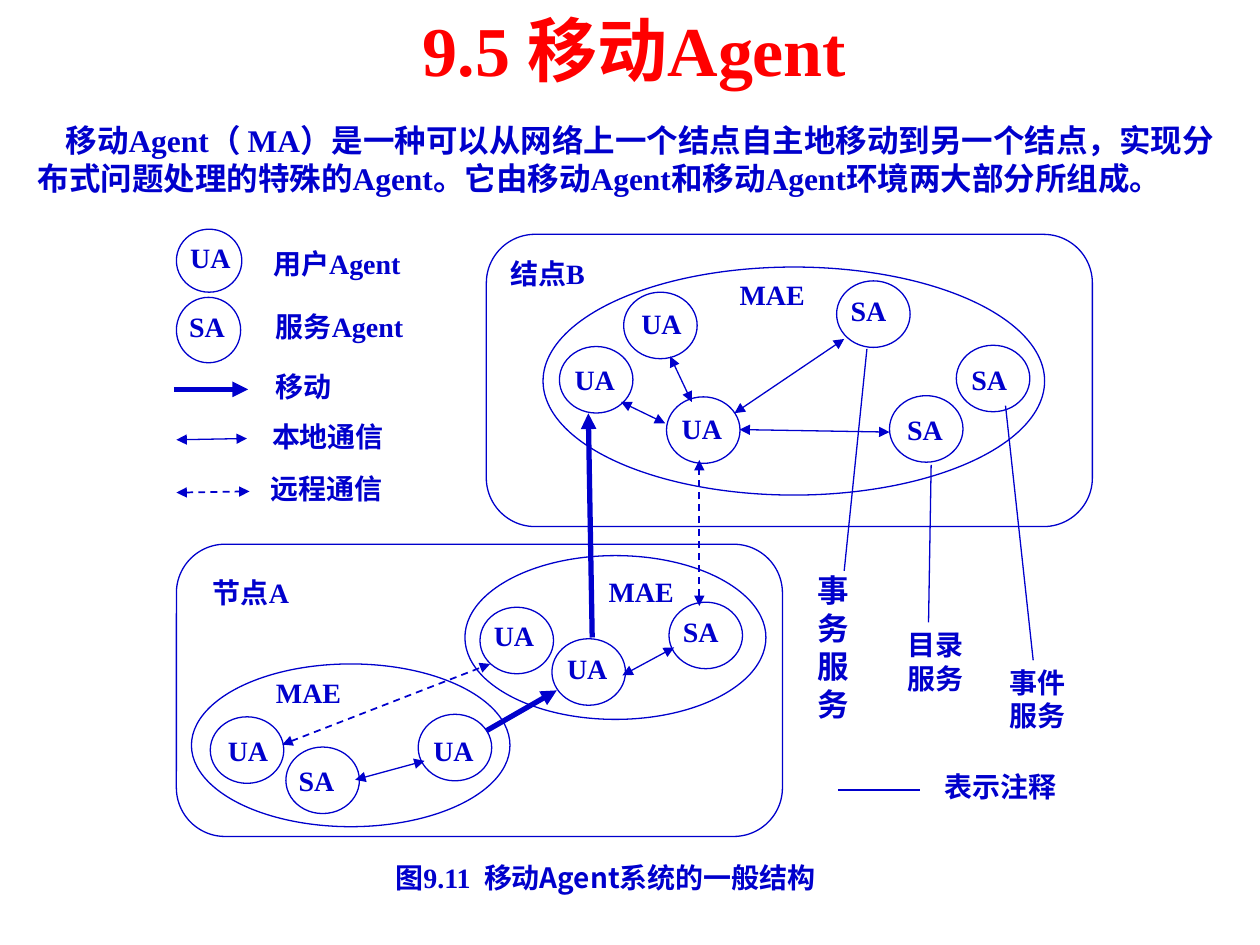
from pptx import Presentation
from pptx.dml.color import RGBColor
from pptx.enum.dml import MSO_LINE
from pptx.enum.shapes import MSO_CONNECTOR, MSO_SHAPE
from pptx.enum.text import PP_ALIGN
from pptx.oxml.ns import qn
from pptx.util import Pt
from lxml import etree

OVAL, RECTANGLE, ROUNDED = MSO_SHAPE.OVAL, MSO_SHAPE.RECTANGLE, MSO_SHAPE.ROUNDED_RECTANGLE
LEFT, CENTER, JUSTIFY = PP_ALIGN.LEFT, PP_ALIGN.CENTER, PP_ALIGN.JUSTIFY
STRAIGHT, DASH = MSO_CONNECTOR.STRAIGHT, MSO_LINE.DASH
SERIF, SANS = "Times New Roman", "Noto Sans CJK SC"
BLUE, RED, WHITE = "0000CC", "FF0000", "FFFFFF"
AGENT_SIZE = (42, 38)

# Link kinds: line width, dash style, arrowheads (at start, at end)
LINKS = {
    "local": (0.75, None, ("headEnd", "tailEnd")),
    "remote": (1, DASH, ("headEnd", "tailEnd")),
    "move": (3, None, ("tailEnd",)),
    "note": (0.75, None, ()),
}


def color(value):
    return RGBColor.from_string(value)


def write(frame, lines, size, text_color=BLUE, align=JUSTIFY, font=SERIF):
    frame.word_wrap = True
    for index, line in enumerate(lines):
        paragraph = frame.paragraphs[0] if index == 0 else frame.add_paragraph()
        paragraph.alignment = align
        run = paragraph.add_run()
        run.text = line
        style_font(run.font, size, text_color, font)


def style_font(font, size, text_color, name):
    font.name, font.size, font.bold = name, Pt(size), True
    font.color.rgb = color(text_color)
    east_asian = etree.SubElement(font._element, qn("a:ea"))
    east_asian.set("typeface", SANS)


def add_outline(slide, kind, left, top, width, height, line=BLUE):
    shape = slide.shapes.add_shape(kind, Pt(left), Pt(top), Pt(width), Pt(height))
    shape.shadow.inherit = False
    shape.fill.solid()
    shape.fill.fore_color.rgb = color(WHITE)
    if line:
        shape.line.color.rgb = color(line)
        shape.line.width = Pt(0.75)
    else:
        shape.line.fill.background()
    return shape


def add_label(slide, lines, left, top, width, height=21, size=16):
    shape = add_outline(slide, RECTANGLE, left, top, width, height, line=None)
    frame = shape.text_frame
    frame.margin_left = frame.margin_right = frame.margin_top = frame.margin_bottom = 0
    frame.vertical_anchor = None
    shape.text_frame._txBody.bodyPr.set("anchor", "t")
    write(frame, lines, size)
    return shape


def add_agent(slide, name, left, top, inset_x, inset_y, size=AGENT_SIZE):
    add_outline(slide, OVAL, left, top, *size)
    add_label(slide, [name], left + inset_x, top + inset_y, 24)


def add_link(slide, kind, x1, y1, x2, y2, origin=(0, 0)):
    left, top = origin
    connector = slide.shapes.add_connector(
        STRAIGHT, Pt(left + x1), Pt(top + y1), Pt(left + x2), Pt(top + y2))
    width, dash, heads = LINKS[kind]
    connector.line.color.rgb = color(BLUE)
    connector.line.width = Pt(width)
    if dash:
        connector.line.dash_style = dash
    for head in heads:
        etree.SubElement(connector.line._get_or_add_ln(), qn("a:" + head)).set("type", "triangle")
    etree.SubElement(connector._element.spPr, qn("a:effectLst"))


def add_text(slide, box, text, size, text_color, align, indent=0):
    frame = slide.shapes.add_textbox(*map(Pt, box)).text_frame
    write(frame, [text], size, text_color, align)
    frame.paragraphs[0]._p.get_or_add_pPr().set("indent", str(Pt(indent)))


def add_node(slide, box, title, title_at, environments, agents, links):
    """Frame of one node with its agent environments, agents and inner links."""
    left, top, width, height = box
    add_outline(slide, ROUNDED, *box)
    for x, y, oval_width, oval_height, _ in environments:
        add_outline(slide, OVAL, left + x, top + y, oval_width, oval_height)
    add_label(slide, [title], left + title_at[0], top + title_at[1], 47.5, 22)
    for *_, (x, y) in environments:
        add_label(slide, ["MAE"], left + x, top + y, 37.5, 17.5)
    for name, x, y, inset_x, inset_y in agents:
        add_agent(slide, name, left + x, top + y, inset_x, inset_y)
    for kind, *points in links:
        add_link(slide, kind, *points, origin=(left, top))


def add_legend(slide, left, top):
    add_agent(slide, "UA", left + 1.8, top, 7.9, 6.5, (37.4, 36))
    add_agent(slide, "SA", left + 1.8, top + 38.9, 7.2, 7.2, (36.7, 37.4))
    for kind, *points in [("move", 0.4, 91.5, 42.8, 91.5),
                          ("local", 1.8, 120.3, 42.1, 119.6),
                          ("remote", 1.8, 150.5, 43.6, 149.8)]:
        add_link(slide, kind, *points, origin=(left, top))
    for text, x, y in [("用户Agent", 57.2, 10.1), ("服务Agent", 58.7, 46.1),
                       ("移动", 58.7, 80), ("本地通信", 56.5, 108.8),
                       ("远程通信", 55.8, 138.3)]:
        add_label(slide, [text], left + x, top + y, 81)


def add_notes_on_services(slide, left, top):
    for first, x, y, width, size in [("事务", 0, 127.5, 30, 18),
                                     ("事件", 109.7, 181.2, 36, 16),
                                     ("目录", 51.4, 159.6, 36, 16)]:
        add_label(slide, [first, "服务"], left + x, top + y, width, 44, size)
    for points in [(28.4, 0.4, 15.4, 127.2), (65.1, 66.7, 63.6, 156.7),
                   (107.6, 32.8, 123.4, 178.3), (11.8, 252.4, 58.6, 252.4)]:
        add_link(slide, "note", *points, origin=(left, top))
    add_label(slide, ["表示注释"], left + 73, top + 241, 67)


def add_caption(slide, left, top, width, height):
    shape = add_label(slide, ["图9.11 "], left, top, width, height)
    run = shape.text_frame.paragraphs[0].add_run()
    run.text = " 移动Agent系统的一般结构"
    style_font(run.font, 16, BLUE, SANS)


def main():
    presentation = Presentation()
    presentation.slide_width, presentation.slide_height = Pt(720), Pt(540)
    slide = presentation.slides.add_slide(presentation.slide_layouts[6])

    # Node A
    add_node(
        slide, (100.8, 311, 346.3, 167), "节点A", (20.9, 18),
        [(8.6, 68.4, 182, 93, (56.9, 74.9)), (164.9, 6.5, 172, 93.6, (247, 17.3))],
        [("UA", 19.4, 98.6, 10, 9.4), ("UA", 138.2, 97.2, 8.6, 10.8),
         ("SA", 62.6, 115.9, 7.2, 9.4), ("UA", 173.5, 36, 7.9, 6.5),
         ("UA", 214.6, 54, 8.6, 7.2), ("SA", 281.5, 33.1, 7.9, 7.2)],
        [("remote", 60.5, 114.5, 179.3, 68.4), ("local", 102.2, 134.6, 141.8, 123.8),
         ("local", 284.4, 59, 254.9, 74.9), ("move", 177.1, 106.6, 217.4, 83.5)])

    # Node B
    add_node(
        slide, (277.9, 133.9, 346.3, 167), "结点B", (13.7, 13),
        [(32.4, 18.7, 286.6, 130.3, (144.7, 24.5))],
        [("UA", 41.8, 64.1, 8.6, 9.4), ("SA", 200.2, 26.6, 7.9, 7.2),
         ("SA", 268.6, 63.4, 8.6, 10.1), ("SA", 230.4, 92.2, 10.1, 9.4),
         ("UA", 78.5, 33.1, 10.1, 7.9), ("UA", 103, 92.9, 8.6, 8.6)],
        [("local", 102.2, 108, 77, 95.8), ("local", 117.4, 95.8, 105.1, 69.8),
         ("local", 141.8, 102.2, 204.5, 59.8), ("local", 144.7, 111.6, 230.4, 113)])

    # Links between the nodes
    add_link(slide, "remote", 399.6, 346.3, 399.6, 262.8)
    add_link(slide, "move", 338.4, 364.3, 336.2, 236.2)

    # Legend, service notes and caption
    add_legend(slide, 99, 131)
    add_notes_on_services(slide, 467, 199)
    add_caption(slide, 226, 491.8, 260, 22)

    # Heading and introduction
    add_text(slide, (124.6, 0, 476, 55.4), "9.5 移动Agent", 40, RED, CENTER)
    add_text(slide, (14.4, 65.5, 692, 50.4),
             "移动Agent（ MA）是一种可以从网络上一个结点自主地移动到另一个结点，"
             "实现分布式问题处理的特殊的Agent。它由移动Agent和移动Agent环境两大部分所组成。",
             18, BLUE, LEFT, indent=16)

    presentation.save("out.pptx")


if __name__ == "__main__":
    main()
